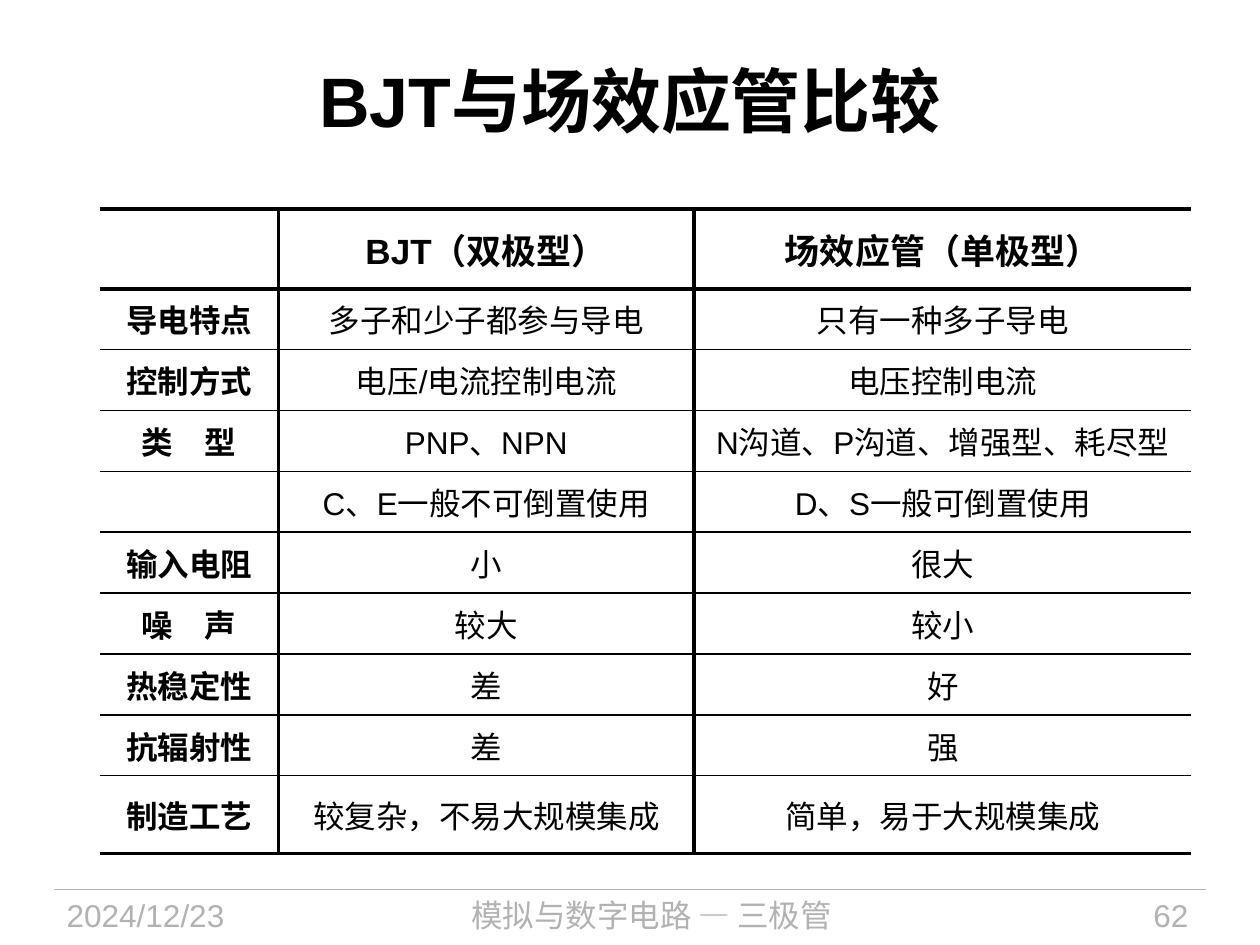
from dataclasses import dataclass
from typing import Optional

from lxml.etree import SubElement
from pptx import Presentation
from pptx.dml.color import RGBColor
from pptx.enum.shapes import MSO_CONNECTOR
from pptx.enum.text import MSO_ANCHOR, PP_ALIGN
from pptx.oxml import parse_xml
from pptx.oxml.ns import nsdecls, qn
from pptx.util import Pt

COLORS = {"ink": "000000", "footer": "B2B2B2", "paper": "FFFFFF"}
THICK, THIN = 2.25, 1
COLUMN_WIDTHS = [102.2, 237.6, 284.1]
ROW_HEIGHTS = [45.5] + [34.8] * 8 + [44.4]
TABLE_LEFT, TABLE_TOP = 56.9, 119.5


@dataclass(frozen=True)
class Row:
    label: str
    bjt: str
    fet: str


@dataclass(frozen=True)
class FooterItem:
    left: float
    width: float
    alignment: PP_ALIGN
    runs: tuple


ROWS = [
    Row("", "BJT（双极型）", "场效应管（单极型）"),
    Row("导电特点", "多子和少子都参与导电", "只有一种多子导电"),
    Row("控制方式", "电压/电流控制电流", "电压控制电流"),
    Row("类　型", "PNP、NPN", "N沟道、P沟道、增强型、耗尽型"),
    Row("", "C、E一般不可倒置使用", "D、S一般可倒置使用"),
    Row("输入电阻", "小", "很大"),
    Row("噪　声", "较大", "较小"),
    Row("热稳定性", "差", "好"),
    Row("抗辐射性", "差", "强"),
    Row("制造工艺", "较复杂，不易大规模集成", "简单，易于大规模集成"),
]

FOOTER = [
    FooterItem(31, 135.4, PP_ALIGN.LEFT, (("2024/12/23", "Arial"),)),
    FooterItem(179.3, 385.9, PP_ALIGN.CENTER, (
        ("模拟与数字电路 ", "Arial"), ("— ", "Times New Roman"), ("三极管", "Arial"))),
    FooterItem(590.4, 95.8, PP_ALIGN.RIGHT, (("62", "Arial"),)),
]


def add_run(paragraph, text: str, size: float, color: str,
            bold: bool = False, font_name: str = "Arial") -> None:
    run = paragraph.add_run()
    run.text = text
    run.font.name = font_name
    run.font.size = Pt(size)
    run.font.bold = bold
    run.font.color.rgb = RGBColor.from_string(COLORS[color])


def add_rule(slide, left: float, right: float, top: float,
             color: str, width: float) -> None:
    rule = slide.shapes.add_connector(
        MSO_CONNECTOR.STRAIGHT, Pt(left), Pt(top), Pt(right), Pt(top))
    rule.line.color.rgb = RGBColor.from_string(COLORS[color])
    rule.line.width = Pt(width)
    SubElement(rule._element.spPr, qn("a:effectLst"))


def border_xml(side: str, width: Optional[float]):
    if width is None:
        return parse_xml(f'<a:ln{side} {nsdecls("a")}><a:noFill/></a:ln{side}>')
    return parse_xml(
        f'<a:ln{side} {nsdecls("a")} w="{int(Pt(width))}"><a:solidFill>'
        f'<a:srgbClr val="{COLORS["ink"]}"/></a:solidFill></a:ln{side}>')


def format_cell(cell, text: str, row: int, column: int) -> None:
    last_row, last_column = len(ROWS) - 1, len(COLUMN_WIDTHS) - 1
    cell.fill.background()
    cell.margin_left = cell.margin_right = cell.margin_top = cell.margin_bottom = 0
    cell.vertical_anchor = MSO_ANCHOR.MIDDLE
    paragraph = cell.text_frame.paragraphs[0]
    paragraph.alignment = PP_ALIGN.CENTER
    if text:
        add_run(paragraph, text, 20 if row == 0 else 18, "ink",
                bold=row == 0 or column == 0)
    borders = {
        "L": THICK if column > 0 else None,
        "R": THICK if column < last_column else None,
        "T": THICK if row == 0 else THIN,
        "B": THICK if row == last_row else THIN,
    }
    properties = cell._tc.get_or_add_tcPr()
    for position, (side, width) in enumerate(borders.items()):
        properties.insert(position, border_xml(side, width))


def add_comparison_table(slide) -> None:
    frame = slide.shapes.add_table(
        len(ROWS), len(COLUMN_WIDTHS), Pt(TABLE_LEFT), Pt(TABLE_TOP),
        Pt(sum(COLUMN_WIDTHS)), Pt(sum(ROW_HEIGHTS)))
    table = frame.table
    table.first_row = False
    table.horz_banding = False
    for column, width in zip(table.columns, COLUMN_WIDTHS):
        column.width = Pt(width)
    for index, (row, height) in enumerate(zip(ROWS, ROW_HEIGHTS)):
        table.rows[index].height = Pt(height)
        for column, text in enumerate((row.label, row.bjt, row.fet)):
            format_cell(table.cell(index, column), text, index, column)


def add_title(slide, text: str) -> None:
    title = slide.shapes.title
    title.left, title.top, title.width, title.height = Pt(36), Pt(12), Pt(648), Pt(90)
    title.text_frame.vertical_anchor = MSO_ANCHOR.MIDDLE
    paragraph = title.text_frame.paragraphs[0]
    paragraph.alignment = PP_ALIGN.CENTER
    add_run(paragraph, text, 40, "ink", bold=True)


def add_footer_item(slide, item: FooterItem) -> None:
    shape = slide.shapes.add_textbox(Pt(item.left), Pt(508.3), Pt(item.width), Pt(31.7))
    shape.text_frame.word_wrap = True
    paragraph = shape.text_frame.paragraphs[0]
    paragraph.alignment = item.alignment
    for text, font_name in item.runs:
        add_run(paragraph, text, 18, "footer", font_name=font_name)


def main() -> None:
    presentation = Presentation()
    presentation.slide_width, presentation.slide_height = Pt(720), Pt(540)
    slide = presentation.slides.add_slide(presentation.slide_layouts[5])
    slide.background.fill.solid()
    slide.background.fill.fore_color.rgb = RGBColor.from_string(COLORS["paper"])
    add_rule(slide, 31, 689, 508.3, "footer", 0.75)
    for item in FOOTER:
        add_footer_item(slide, item)
    add_title(slide, "BJT与场效应管比较")
    add_comparison_table(slide)
    add_rule(slide, TABLE_LEFT, TABLE_LEFT + sum(COLUMN_WIDTHS),
             TABLE_TOP + ROW_HEIGHTS[0], "ink", THICK)
    presentation.save("out.pptx")


if __name__ == "__main__":
    main()
